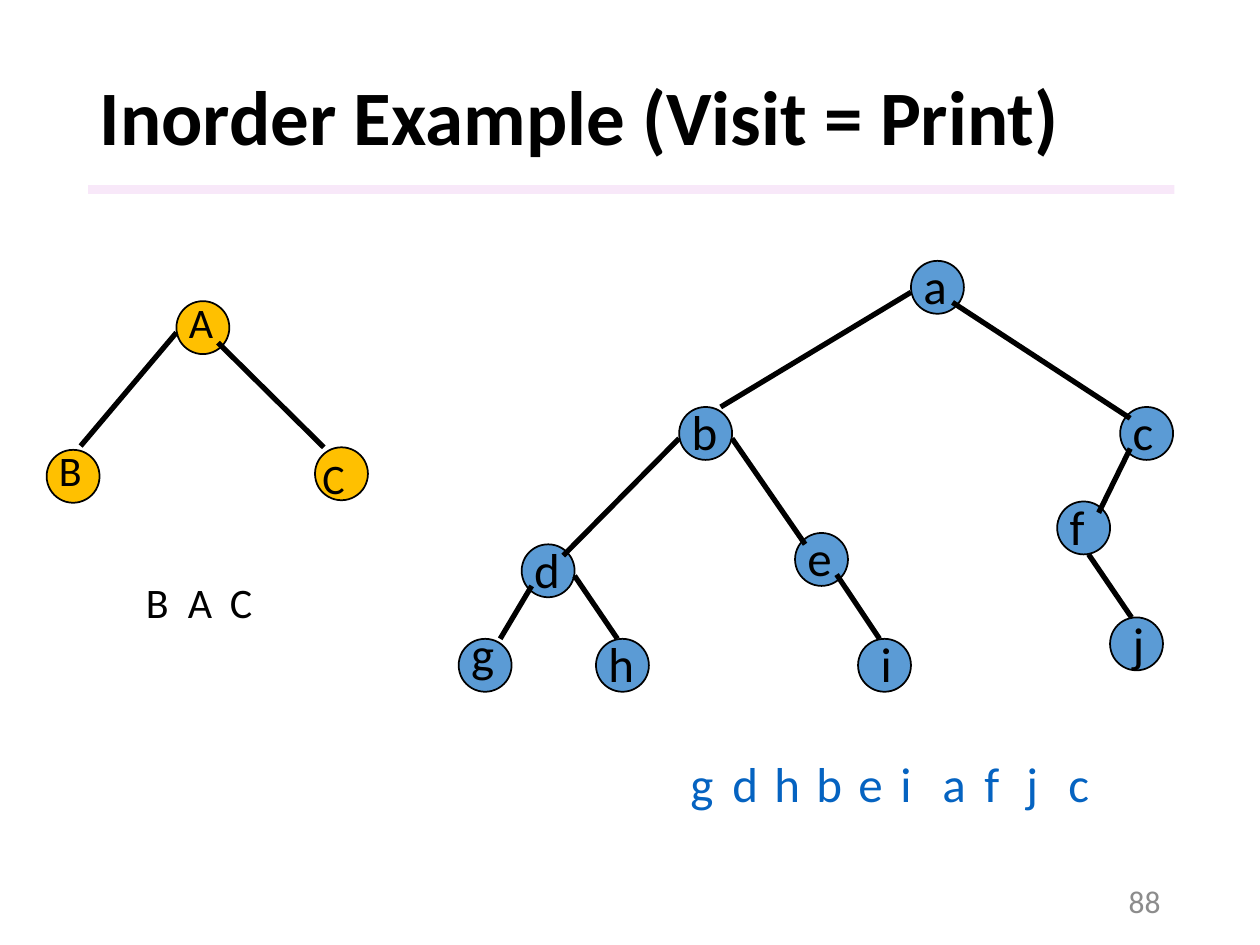
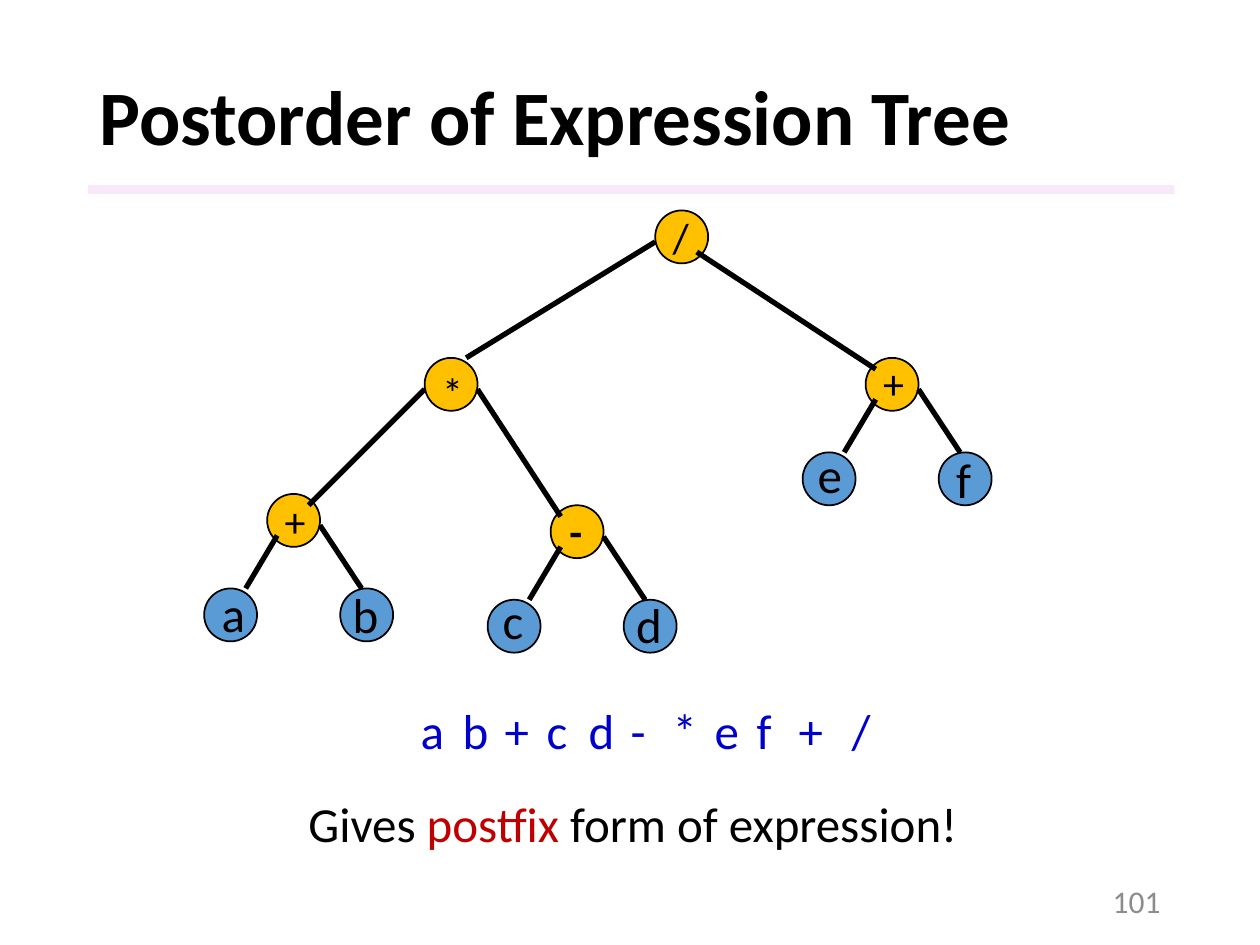
from dataclasses import dataclass
from enum import Enum
from typing import Iterator

from lxml.etree import SubElement
from pptx import Presentation
from pptx.dml.color import RGBColor
from pptx.enum.shapes import MSO_CONNECTOR, MSO_SHAPE
from pptx.enum.text import MSO_ANCHOR, MSO_AUTO_SIZE, PP_ALIGN
from pptx.oxml.ns import qn
from pptx.shapes.shapetree import GroupShapes, SlideShapes
from pptx.slide import Slide
from pptx.text.text import TextFrame
from pptx.util import Inches, Pt

FONT = "Calibri"
BLACK, GREY, RED = "000000", "8C8C8C", "C00000"
LILAC, LINK_BLUE, DEEP_BLUE = "F3D2F4", "0563C1", "0000CC"
NODE_SIZE = 0.42
TOKEN_STEP = 1 / 3
LABEL_HEIGHT = {18: 0.4, 24: 0.51, 28: 0.57}


class Joint(Enum):
    """Where an edge meets a node, measured from the node's top left corner."""
    LEFT = (0, 0.25)
    RIGHT = (0.42, 0.25)
    LOWER_LEFT = (0.08, 0.33)
    LOWER_RIGHT = (0.33, 0.33)
    BOTTOM = (0.25, 0.42)
    TOP_LEFT = (0.17, 0)
    TOP_RIGHT = (0.33, 0)
    UPPER_LEFT = (0.08, 0.09)
    UPPER_RIGHT = (0.33, 0.09)
    ABOVE = (0.27, -0.03)
    FAR_LEFT = (0.07, 0)


@dataclass(frozen=True)
class NodeStyle:
    fill: str
    size: int


GOLD = NodeStyle("FFC000", 24)
BLUE = NodeStyle("5B9BD5", 28)


@dataclass(frozen=True)
class Node:
    label: str
    x: float
    y: float
    style: NodeStyle
    shift: tuple[float, float] = (0, -0.09)
    edges: tuple["Edge", ...] = ()
    bold: bool = False

    def walk(self) -> Iterator["Node"]:
        yield self
        for edge in self.edges:
            yield from edge.child.walk()

    def joint(self, joint: Joint) -> tuple[float, float]:
        dx, dy = joint.value
        return self.x + dx, self.y + dy


@dataclass(frozen=True)
class Edge:
    start: Joint
    end: Joint
    child: Node


def rgb(color: str) -> RGBColor:
    return RGBColor.from_string(color)


def write(frame: TextFrame, *parts: str | tuple[str, str], size: int, color: str = BLACK,
          bold: bool = False, align: PP_ALIGN = PP_ALIGN.LEFT,
          anchor: MSO_ANCHOR = MSO_ANCHOR.TOP, line_spacing: float = 1.0,
          auto_size: MSO_AUTO_SIZE = MSO_AUTO_SIZE.NONE) -> None:
    """Fill one paragraph; a part is a text, or a text with its own colour."""
    frame.word_wrap = True
    frame.auto_size = auto_size
    frame.vertical_anchor = anchor
    paragraph = frame.paragraphs[0]
    paragraph.alignment = align
    paragraph.line_spacing = line_spacing
    for part in parts:
        text, part_color = (part, color) if isinstance(part, str) else part
        run = paragraph.add_run()
        run.text = text
        run.font.name = FONT
        run.font.size = Pt(size)
        run.font.bold = bold
        run.font.color.rgb = rgb(part_color)


def add_label(shapes: SlideShapes | GroupShapes, x: float, y: float, width: float,
              *parts: str | tuple[str, str], size: int, **text_format) -> None:
    label = shapes.add_textbox(Inches(x), Inches(y), Inches(width), Inches(LABEL_HEIGHT[size]))
    write(label.text_frame, *parts, size=size, **text_format)


def add_circle(shapes: GroupShapes, node: Node) -> None:
    circle = shapes.add_shape(MSO_SHAPE.OVAL, Inches(node.x), Inches(node.y),
                              Inches(NODE_SIZE), Inches(NODE_SIZE))
    circle.shadow.inherit = False
    circle.fill.solid()
    circle.fill.fore_color.rgb = rgb(node.style.fill)
    circle.line.color.rgb = rgb(BLACK)
    circle.line.width = Pt(1)


def add_edge(shapes: GroupShapes, parent: Node, edge: Edge) -> None:
    ends = (*parent.joint(edge.start), *edge.child.joint(edge.end))
    line = shapes.add_connector(MSO_CONNECTOR.STRAIGHT, *(Inches(value) for value in ends))
    line.line.color.rgb = rgb(BLACK)
    line.line.width = Pt(3)
    SubElement(line._element.spPr, qn("a:effectLst"))


def add_tree(slide: Slide, root: Node, label_width: float) -> None:
    shapes = slide.shapes.add_group_shape().shapes
    nodes = list(root.walk())
    for node in nodes:
        add_circle(shapes, node)
    for node in nodes:
        for edge in node.edges:
            add_edge(shapes, node, edge)
    for node in nodes:
        dx, dy = node.shift
        add_label(shapes, node.x + dx, node.y + dy, label_width, node.label,
                  size=node.style.size, bold=node.bold)


def add_visit_order(slide: Slide, tokens: str, x: float, y: float, size: int, color: str) -> None:
    for index, token in enumerate(tokens):
        add_label(slide.shapes, x + index * TOKEN_STEP, y, NODE_SIZE, token,
                  size=size, color=color, auto_size=MSO_AUTO_SIZE.SHAPE_TO_FIT_TEXT)


def add_titled_slide(deck: Presentation, heading: str, number: int) -> Slide:
    slide = deck.slides.add_slide(deck.slide_layouts[5])
    band = slide.shapes.add_shape(MSO_SHAPE.RECTANGLE, Inches(0.7), Inches(1.47),
                                  Inches(8.62), Inches(0.07))
    band.shadow.inherit = False
    band.fill.solid()
    band.fill.fore_color.rgb = rgb(LILAC)
    band.line.fill.background()
    band_color = band._element.spPr.find(f"{qn('a:solidFill')}/{qn('a:srgbClr')}")
    SubElement(band_color, qn("a:alpha"), val="50000")

    title = slide.shapes.title
    title.left, title.top = Inches(0.69), Inches(0.4)
    title.width, title.height = Inches(8.62), Inches(1.11)
    write(title.text_frame, heading, size=44, bold=True,
          anchor=MSO_ANCHOR.MIDDLE, line_spacing=0.9)
    add_label(slide.shapes, 7.06, 6.95, 2.25, str(number), size=18, color=GREY,
              align=PP_ALIGN.RIGHT, anchor=MSO_ANCHOR.MIDDLE)
    return slide


def forked(left: Node, right: Node) -> tuple[Edge, Edge]:
    """Short edges to a pair of leaves."""
    return (Edge(Joint.LOWER_LEFT, Joint.TOP_RIGHT, left),
            Edge(Joint.RIGHT, Joint.TOP_LEFT, right))


def spread(left: Node, right: Node) -> tuple[Edge, Edge]:
    """Long edges from a root to its two subtrees."""
    return (Edge(Joint.LEFT, Joint.TOP_RIGHT, left),
            Edge(Joint.LOWER_RIGHT, Joint.UPPER_LEFT, right))


def branched(left: Node, right: Node) -> tuple[Edge, Edge]:
    """Edges from an inner node to two inner nodes."""
    return (Edge(Joint.LEFT, Joint.UPPER_RIGHT, left),
            Edge(Joint.RIGHT, Joint.UPPER_LEFT, right))


SMALL_TREE = Node("A", 1.4, 2.39, GOLD, edges=(
    Edge(Joint.LEFT, Joint.ABOVE, Node("B", 0.37, 3.57, GOLD)),
    Edge(Joint.LOWER_RIGHT, Joint.FAR_LEFT, Node("C", 2.5, 3.55, GOLD, (-0.04, -0.01))),
))

LETTER_TREE = Node("a", 7.23, 2.07, BLUE, edges=spread(
    Node("b", 5.39, 3.23, BLUE, edges=branched(
        Node("d", 4.14, 4.32, BLUE, edges=forked(
            Node("g", 3.64, 5.07, BLUE, (0, -0.17)),
            Node("h", 4.73, 5.07, BLUE))),
        Node("e", 6.31, 4.23, BLUE, edges=(
            Edge(Joint.LOWER_RIGHT, Joint.TOP_LEFT, Node("i", 6.81, 5.07, BLUE, (0.08, -0.09))),
        )))),
    Node("c", 8.89, 3.23, BLUE, edges=(
        Edge(Joint.LOWER_LEFT, Joint.UPPER_RIGHT, Node("f", 8.39, 3.98, BLUE, edges=(
            Edge(Joint.BOTTOM, Joint.TOP_LEFT, Node("j", 8.81, 4.9, BLUE, (0.08, -0.08))),
        ))),
    )),
))

EXPRESSION_TREE = Node("/", 5.2, 1.67, GOLD, (0.04, -0.04), spread(
    Node("*", 3.37, 2.84, GOLD, (0.04, 0.02), branched(
        Node("+", 2.12, 3.92, GOLD, (0.04, -0.04), forked(
            Node("a", 1.62, 4.67, BLUE, (0.04, -0.09)),
            Node("b", 2.7, 4.67, BLUE, (0, -0.08)))),
        Node("-", 4.37, 4.01, GOLD, (0.05, -0.05), forked(
            Node("c", 3.87, 4.76, BLUE, (0.02, -0.12)),
            Node("d", 4.95, 4.76, BLUE)), bold=True))),
    Node("+", 6.87, 2.84, GOLD, (0.04, -0.05), forked(
        Node("e", 6.37, 3.59, BLUE, (0.02, -0.11)),
        Node("f", 7.45, 3.59, BLUE, (0.04, -0.07)))),
))


def build_inorder(deck: Presentation) -> None:
    slide = add_titled_slide(deck, "Inorder Example (Visit = Print)", 88)
    add_tree(slide, SMALL_TREE, label_width=0.83)
    add_visit_order(slide, "BAC", 1.06, 4.53, GOLD.size, BLACK)
    add_tree(slide, LETTER_TREE, label_width=0.83)
    add_visit_order(slide, "gdhbeiafjc", 5.38, 5.93, BLUE.size, LINK_BLUE)


def build_postorder(deck: Presentation) -> None:
    slide = add_titled_slide(deck, "Postorder of Expression Tree", 101)
    add_tree(slide, EXPRESSION_TREE, label_width=NODE_SIZE)
    add_label(slide.shapes, 2.35, 6.25, 5.6, "Gives ", ("postfix", RED), " form of expression!",
              size=28, auto_size=MSO_AUTO_SIZE.SHAPE_TO_FIT_TEXT)
    add_visit_order(slide, "ab+cd-*ef+", 3.24, 5.51, BLUE.size, DEEP_BLUE)
    add_visit_order(slide, "/", 6.66, 5.51, BLUE.size, DEEP_BLUE)


def main() -> None:
    deck = Presentation()
    deck.slide_width, deck.slide_height = Inches(10), Inches(7.5)
    build_inorder(deck)
    build_postorder(deck)
    deck.save("out.pptx")


if __name__ == "__main__":
    main()
